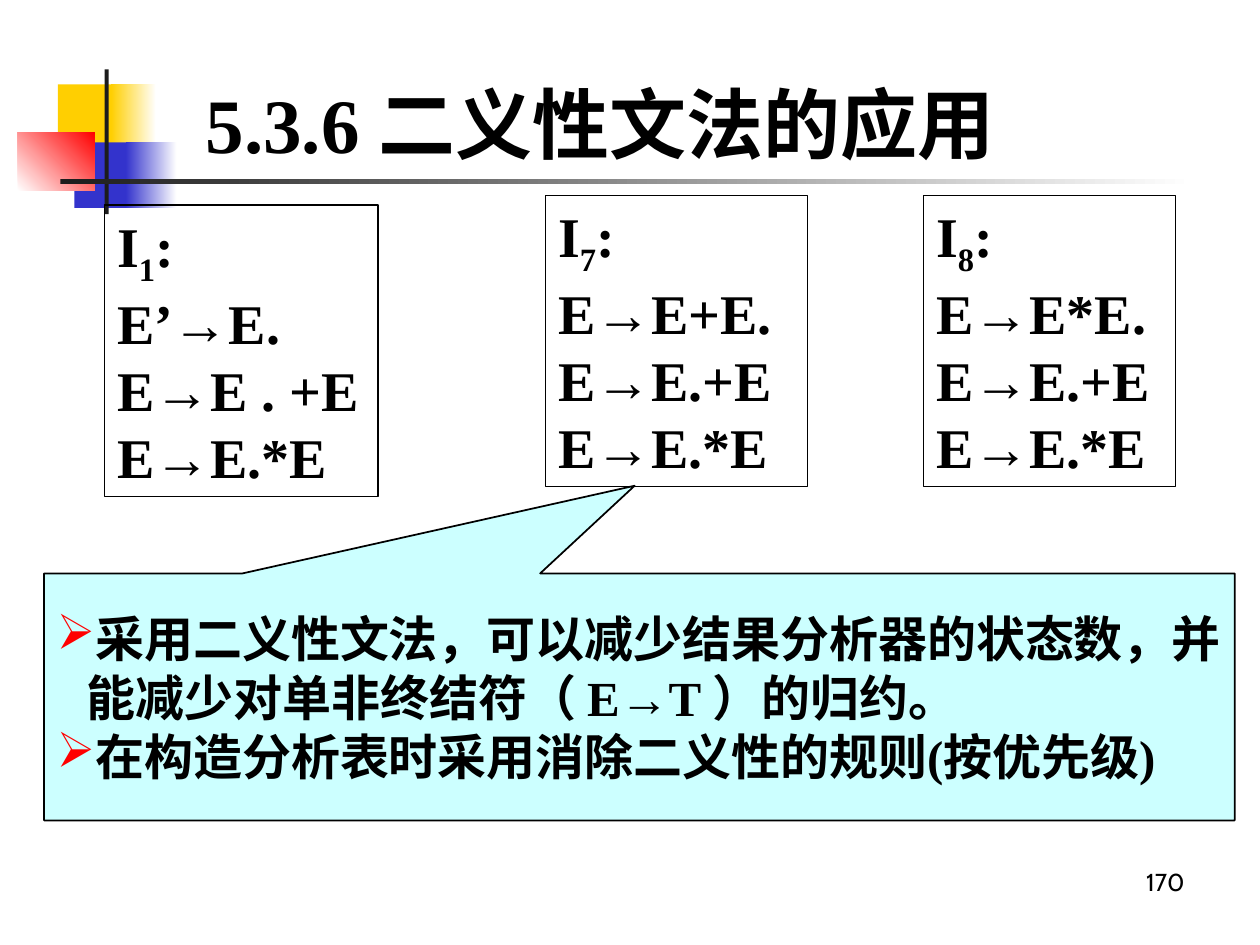
from lxml import etree
from pptx import Presentation
from pptx.dml.color import RGBColor
from pptx.enum.shapes import MSO_SHAPE as Shape
from pptx.enum.text import MSO_ANCHOR as Anchor, MSO_AUTO_SIZE as AutoSize, PP_ALIGN as Align
from pptx.oxml.ns import qn
from pptx.util import Cm, Pt

COLORS = {
    "black": "000000", "white": "FFFFFF", "yellow": "FFCF01", "blue": "3333CC",
    "red": "FF0000", "charcoal": "1C1C1C", "callout": "CCFFFF",
}


def color(name):
    return RGBColor.from_string(COLORS[name])


def add_run(paragraph, text, size, name="Times New Roman", bold=True):
    run = paragraph.add_run()
    run.text = text
    run.font.size = Pt(size)
    run.font.name = name
    run.font.bold = bold
    run.font.color.rgb = color("black")
    return run


presentation = Presentation()
presentation.slide_width, presentation.slide_height = Cm(25.4), Cm(19.05)
slide = presentation.slides.add_slide(presentation.slide_layouts[5])

# Corner ornament: left, top, width, height, colours from start to end, angle
ornament = [
    (1.17, 1.7, 1.22, 1.32, ["yellow"], 0),
    (2.24, 1.7, 0.91, 1.32, ["yellow", "white"], 0),
    (1.5, 2.87, 1.17, 1.32, ["blue"], 0),
    (2.54, 2.87, 1.02, 1.32, ["blue", "white"], 0),
    (0.36, 2.67, 1.55, 1.17, ["white", "red"], 45),
    (2.11, 1.4, 0.08, 2.92, ["charcoal"], 0),
    (1.22, 3.61, 22.86, 0.1, ["charcoal", "white"], 0),
]
for left, top, width, height, names, angle in ornament:
    block = slide.shapes.add_shape(Shape.RECTANGLE, Cm(left), Cm(top), Cm(width), Cm(height))
    block.shadow.inherit = False
    block.line.fill.background()
    if len(names) == 1:
        block.fill.solid()
        block.fill.fore_color.rgb = color(names[0])
    else:
        block.fill.gradient()
        block.fill.gradient_angle = angle
        for stop, name in zip(block.fill.gradient_stops, names):
            stop.color.rgb = color(name)

# Title, moved in front of the ornament
title = slide.shapes.title
slide.shapes._spTree.append(title._element)
title.left, title.top, title.width, title.height = Cm(3.89), Cm(1.63), Cm(20.45), Cm(1.7)
title.text_frame.auto_size = AutoSize.NONE
title.text_frame.vertical_anchor = Anchor.MIDDLE
title_paragraph = title.text_frame.paragraphs[0]
title_paragraph.alignment = Align.LEFT
add_run(title_paragraph, "5.3.6 二义性文法的应用", 44)

# LR item sets: left, top, width, state number, productions
item_sets = [
    (2.11, 4.14, 5.51, "1", ["E’→E.", "E→E . +E", "E→E.*E"]),
    (11, 3.94, 5.28, "7", ["E→E+E.", "E→E.+E E→E.*E"]),
    (18.62, 3.94, 5.08, "8", ["E→E*E.", "E→E.+E E→E.*E"]),
]
for left, top, width, state, productions in item_sets:
    box = slide.shapes.add_textbox(Cm(left), Cm(top), Cm(width), Cm(5.87))
    box.line.color.rgb = color("black")
    box.line.width = Pt(1)
    frame = box.text_frame
    frame.word_wrap = True
    frame.auto_size = AutoSize.SHAPE_TO_FIT_TEXT
    heading = frame.paragraphs[0]
    add_run(heading, "I", 32)
    subscript = add_run(heading, state, 32)
    subscript.font._element.set("baseline", "-25000")
    add_run(heading, ":", 32)
    for production in productions:
        add_run(frame.add_paragraph(), production, 32)

# Callout pointing at I7
callout = slide.shapes.add_shape(
    Shape.RECTANGULAR_CALLOUT, Cm(0.89), Cm(11.56), Cm(24), Cm(4.98))
callout.adjustments[0], callout.adjustments[1] = -0.004, -0.855
callout.shadow.inherit = False
callout.fill.solid()
callout.fill.fore_color.rgb = color("callout")
callout.line.color.rgb = color("black")
callout.line.width = Pt(1)
frame = callout.text_frame
frame.word_wrap = True
frame.vertical_anchor = Anchor.MIDDLE
remarks = [
    "采用二义性文法，可以减少结果分析器的状态数，并能减少对单非终结符（ E→T ）的归约。",
    "在构造分析表时采用消除二义性的规则(按优先级)",
]
for index, remark in enumerate(remarks):
    paragraph = frame.add_paragraph() if index else frame.paragraphs[0]
    paragraph.alignment = Align.LEFT
    properties = paragraph._p.get_or_add_pPr()
    properties.set("marL", str(Cm(0.61)))
    properties.set("indent", str(-Cm(0.61)))
    bullet_color = etree.SubElement(properties, qn("a:buClr"))
    etree.SubElement(bullet_color, qn("a:srgbClr"), val=COLORS["red"])
    etree.SubElement(properties, qn("a:buChar"), char="➢")
    add_run(paragraph, remark, 28)

# Page number
page_box = slide.shapes.add_textbox(Cm(18.21), Cm(17.35), Cm(5.92), Cm(1.32))
page_box.text_frame.word_wrap = True
page_paragraph = page_box.text_frame.paragraphs[0]
page_paragraph.alignment = Align.RIGHT
add_run(page_paragraph, "170", 14, "Cabin", False)

presentation.save("out.pptx")
